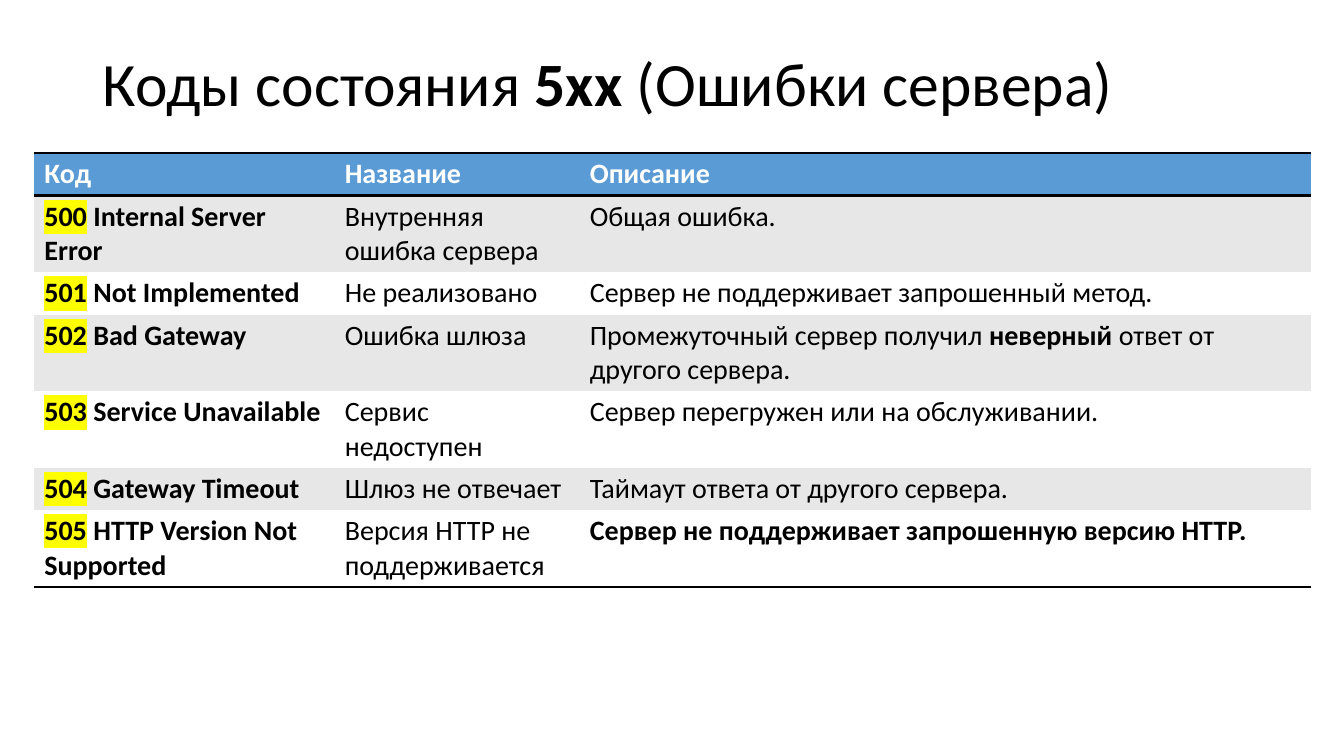
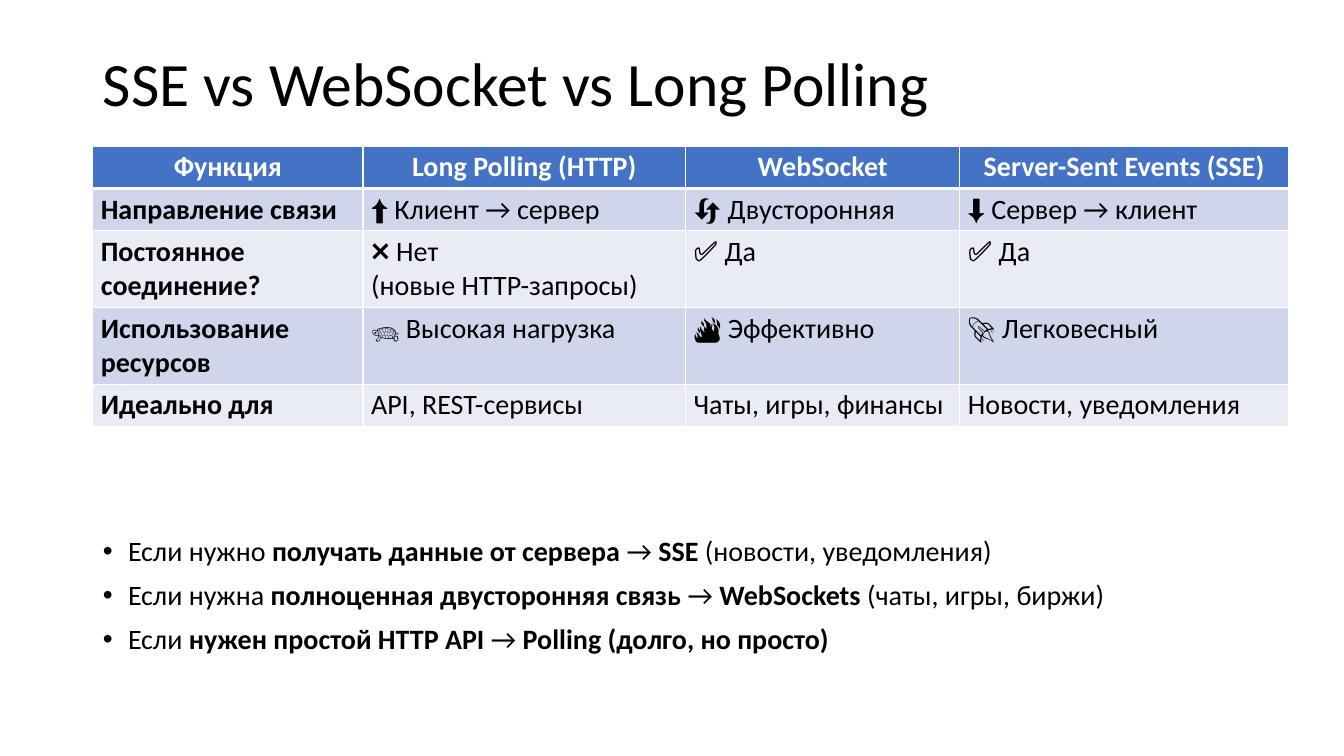
from dataclasses import dataclass
from typing import Optional

from lxml.etree import SubElement
from pptx import Presentation
from pptx.dml.color import RGBColor
from pptx.enum.text import MSO_ANCHOR, MSO_AUTO_SIZE, PP_ALIGN
from pptx.oxml.ns import qn
from pptx.util import Inches, Pt

BLACK = RGBColor(0x00, 0x00, 0x00)
WHITE = RGBColor(0xFF, 0xFF, 0xFF)
YELLOW = RGBColor(0xFF, 0xFF, 0x00)
SKY_BLUE = RGBColor(0x5B, 0x9B, 0xD5)
GRAY = RGBColor(0xE7, 0xE7, 0xE7)
ROYAL_BLUE = RGBColor(0x44, 0x72, 0xC4)
LAVENDER = RGBColor(0xCF, 0xD5, 0xEA)
PALE_LAVENDER = RGBColor(0xE9, 0xEB, 0xF5)

FONT = "Calibri"
TITLE_SIZE = 44
TEXT_SIZE = 20
LINE_SPACING = 0.9
MARGIN = 0.92
CONTENT_WIDTH = 11.5
ROW_HEIGHT = 0.41
TITLE_ONLY_LAYOUT = 5
CONTENT_LAYOUT = 1
NO_GRID_STYLE = "{2D5ABB26-0587-4C30-8999-92F81FD0307C}"


@dataclass(frozen=True)
class Run:
    text: str
    bold: bool = False
    highlight: Optional[RGBColor] = None


@dataclass(frozen=True)
class Line:
    color: RGBColor
    width: float


@dataclass(frozen=True)
class TableDesign:
    header_fill: RGBColor
    band_fills: tuple[RGBColor, RGBColor]
    header_alignment: PP_ALIGN
    side_inset: float
    outer: Line
    header_rule: Line
    inner: Optional[Line] = None


STATUS_DESIGN = TableDesign(SKY_BLUE, (GRAY, WHITE), PP_ALIGN.LEFT, 0.1,
                            outer=Line(BLACK, 2), header_rule=Line(BLACK, 2))
COMPARISON_DESIGN = TableDesign(ROYAL_BLUE, (LAVENDER, PALE_LAVENDER), PP_ALIGN.CENTER, 0.08,
                                outer=Line(WHITE, 1), header_rule=Line(WHITE, 3),
                                inner=Line(WHITE, 1))

STATUS_HEADER = ["Код", "Название", "Описание"]
STATUS_ROWS = [
    ("500", "Internal Server Error", "Внутренняя ошибка сервера", "Общая ошибка."),
    ("501", "Not Implemented", "Не реализовано", "Сервер не поддерживает запрошенный метод."),
    ("502", "Bad Gateway", "Ошибка шлюза",
     "Промежуточный сервер получил **неверный** ответ от другого сервера."),
    ("503", "Service Unavailable", "Сервис недоступен", "Сервер перегружен или на обслуживании."),
    ("504", "Gateway Timeout", "Шлюз не отвечает", "Таймаут ответа от другого сервера."),
    ("505", "HTTP Version Not Supported", "Версия HTTP не поддерживается",
     "**Сервер не поддерживает запрошенную версию HTTP.**"),
]
COMPARISON_HEADER = ["Функция", "Long Polling (HTTP)", "WebSocket", "Server-Sent Events (SSE)"]
COMPARISON_ROWS = [
    ["**Направление связи**", "⬆️ Клиент → сервер", "🔄 Двусторонняя", "⬇️ Сервер → клиент"],
    ["**Постоянное соединение?**", "❌ Нет\n(новые HTTP-запросы)", "✅ Да", "✅ Да"],
    ["**Использование ресурсов**", "🐢 Высокая нагрузка", "🔥 Эффективно", "🚀 Легковесный"],
    ["**Идеально для**", "API, REST-сервисы", "Чаты, игры, финансы", "Новости, уведомления"],
]
ADVICE = [
    "Если нужно **получать данные от сервера** → **SSE** (новости, уведомления)",
    "Если нужна **полноценная двусторонняя связь** → **WebSockets** (чаты, игры, биржи)",
    "Если **нужен простой HTTP API** → **Polling (долго, но просто)**",
]


def parse_runs(text: str) -> list[Run]:
    """Split text into runs; parts between double asterisks are bold."""
    return [Run(part, index % 2 == 1) for index, part in enumerate(text.split("**")) if part]


def write_paragraph(paragraph, runs: list[Run], size: float, color: RGBColor = BLACK) -> None:
    paragraph.font.name = FONT
    paragraph.font.size = Pt(size)
    paragraph.font.color.rgb = color
    for item in runs:
        for index, text in enumerate(item.text.split("\n")):
            if index:
                paragraph.add_line_break()
            run = paragraph.add_run()
            run.text = text
            run.font.bold = item.bold
            if item.highlight is not None:
                highlight = SubElement(run.font._element, qn("a:highlight"))
                SubElement(highlight, qn("a:srgbClr"), val=str(item.highlight))


def place(shape, left: float, top: float, width: float, height: float) -> None:
    shape.left, shape.top = Inches(left), Inches(top)
    shape.width, shape.height = Inches(width), Inches(height)


def add_titled_slide(presentation, layout_index: int, title: str):
    slide = presentation.slides.add_slide(presentation.slide_layouts[layout_index])
    shape = slide.shapes.title
    place(shape, MARGIN, 0.4, CONTENT_WIDTH, 0.92)
    shape.text_frame.vertical_anchor = MSO_ANCHOR.MIDDLE
    shape.text_frame.auto_size = MSO_AUTO_SIZE.NONE
    paragraph = shape.text_frame.paragraphs[0]
    paragraph.alignment = PP_ALIGN.LEFT
    paragraph.line_spacing = LINE_SPACING
    write_paragraph(paragraph, parse_runs(title), TITLE_SIZE)
    return slide


def set_border(cell, side: str, line: Optional[Line]) -> None:
    """Draw one side (L, R, T or B, in this order) before the cell is filled."""
    if line is None:
        return
    border = SubElement(cell._tc.get_or_add_tcPr(), qn(f"a:ln{side}"), w=str(Pt(line.width)))
    fill = SubElement(border, qn("a:solidFill"))
    SubElement(fill, qn("a:srgbClr"), val=str(line.color))


def add_table(slide, left: float, top: float, widths: list[float],
              rows: list[list[list[Run]]], design: TableDesign) -> None:
    """Add a table whose first row is the header; each row draws the rule below it."""
    frame = slide.shapes.add_table(len(rows), len(widths), Inches(left), Inches(top),
                                   Inches(sum(widths)), Inches(ROW_HEIGHT * len(rows)))
    table = frame.table
    table._tbl.tblPr.find(qn("a:tableStyleId")).text = NO_GRID_STYLE
    for column, width in zip(table.columns, widths):
        column.width = Inches(width)
    last = len(rows) - 1
    for row_index, row in enumerate(rows):
        table.rows[row_index].height = Inches(ROW_HEIGHT)
        is_header = row_index == 0
        above = design.outer if is_header else None
        below = {0: design.header_rule, last: design.outer}.get(row_index, design.inner)
        for column_index, runs in enumerate(row):
            cell = table.cell(row_index, column_index)
            cell.margin_left = cell.margin_right = Inches(design.side_inset)
            cell.margin_top = cell.margin_bottom = Inches(0.04)
            for side, line in zip("LRTB", (design.inner, design.inner, above, below)):
                set_border(cell, side, line)
            cell.fill.solid()
            cell.fill.fore_color.rgb = (design.header_fill if is_header
                                        else design.band_fills[(row_index - 1) % 2])
            paragraph = cell.text_frame.paragraphs[0]
            paragraph.alignment = design.header_alignment if is_header else PP_ALIGN.LEFT
            write_paragraph(paragraph, runs, TEXT_SIZE, WHITE if is_header else BLACK)


def header_runs(labels: list[str]) -> list[list[Run]]:
    return [[Run(label, bold=True)] for label in labels]


def add_bullets(slide, items: list[str]) -> None:
    body = slide.placeholders[1]
    place(body, MARGIN, 5.28, CONTENT_WIDTH, 1.35)
    text_frame = body.text_frame
    text_frame.auto_size = MSO_AUTO_SIZE.NONE
    for index, item in enumerate(items):
        paragraph = text_frame.add_paragraph() if index else text_frame.paragraphs[0]
        properties = paragraph._p.get_or_add_pPr()
        properties.set("marL", str(Inches(0.25)))
        properties.set("indent", str(Inches(-0.25)))
        paragraph.line_spacing = LINE_SPACING
        paragraph.space_before = Pt(10 if index else 0)
        write_paragraph(paragraph, parse_runs(item), TEXT_SIZE)


def build_status_slide(presentation) -> None:
    slide = add_titled_slide(presentation, TITLE_ONLY_LAYOUT,
                             "Коды состояния **5xx **(Ошибки сервера)")
    rows = [header_runs(STATUS_HEADER)]
    for code, phrase, name, description in STATUS_ROWS:
        code_runs = [Run(code, True, YELLOW), Run(f" {phrase}", True)]
        rows.append([code_runs, parse_runs(name), parse_runs(description)])
    add_table(slide, 0.34, 1.52, [2.98, 2.43, 7.25], rows, STATUS_DESIGN)


def build_comparison_slide(presentation) -> None:
    slide = add_titled_slide(presentation, CONTENT_LAYOUT, "SSE vs WebSocket vs Long Polling")
    rows = [header_runs(COMPARISON_HEADER)]
    rows += [[parse_runs(text) for text in row] for row in COMPARISON_ROWS]
    add_table(slide, MARGIN, 1.45, [2.68, 3.2, 2.72, 3.26], rows, COMPARISON_DESIGN)
    add_bullets(slide, ADVICE)


def main() -> None:
    presentation = Presentation()
    presentation.slide_width = Inches(13.33)
    presentation.slide_height = Inches(7.5)
    build_status_slide(presentation)
    build_comparison_slide(presentation)
    presentation.save("out.pptx")


if __name__ == "__main__":
    main()
